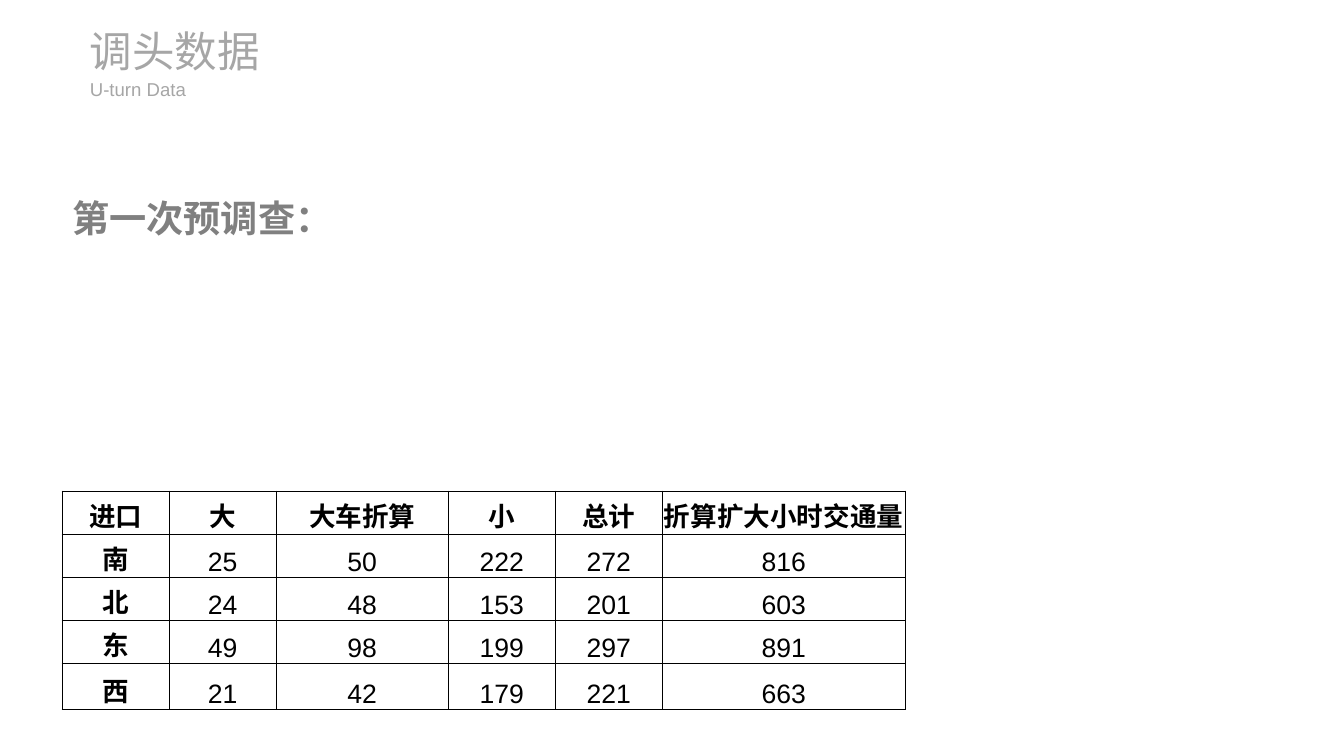
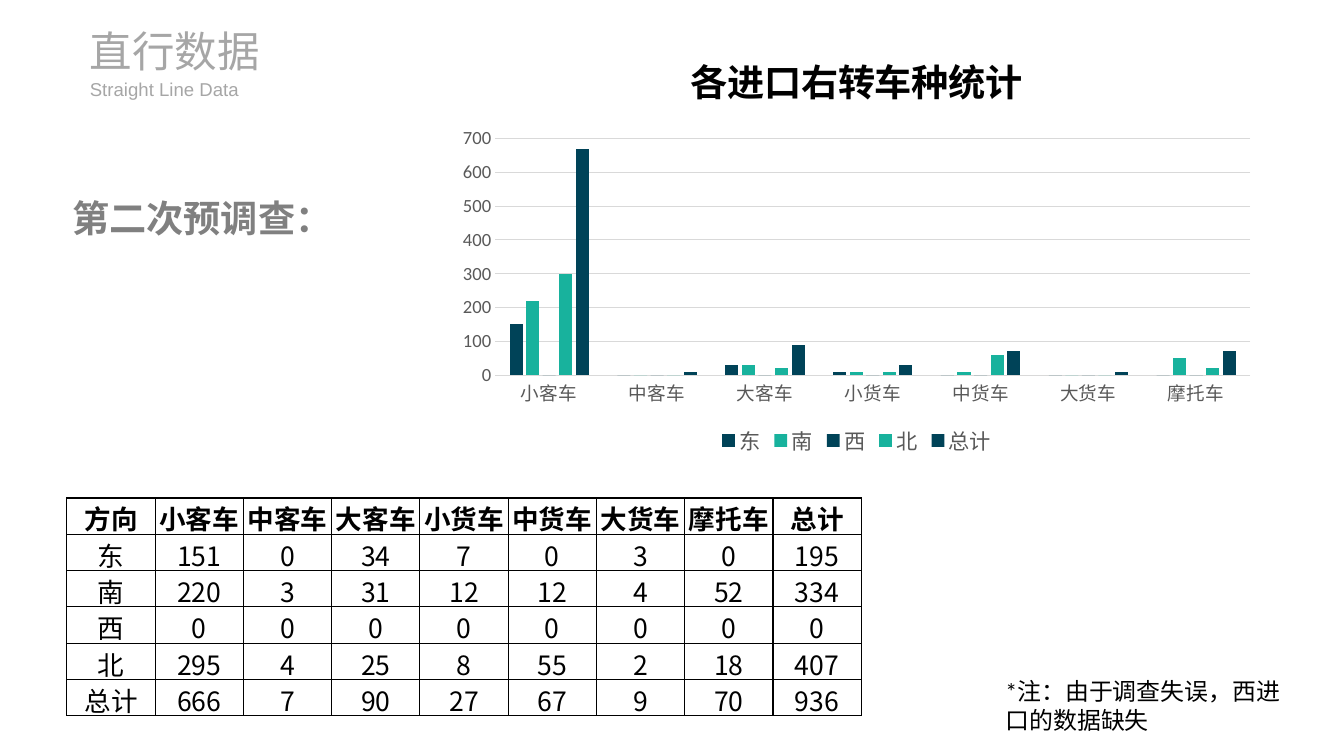
from lxml import etree
from pptx import Presentation
from pptx.chart.data import CategoryChartData
from pptx.dml.color import RGBColor
from pptx.enum import chart as ch, text as tx
from pptx.oxml import ns
from pptx.util import Inches, Pt

BLACK = RGBColor(0x00, 0x00, 0x00)
TITLE_GREY = RGBColor(0xA6, 0xA6, 0xA6)
HEADING_GREY = RGBColor(0x80, 0x80, 0x80)
LABEL_GREY = RGBColor(0x59, 0x59, 0x59)
GRID_GREY = RGBColor(0xD9, 0xD9, 0xD9)
NAVY = RGBColor(0x00, 0x43, 0x58)
TEAL = RGBColor(0x18, 0xB2, 0x9D)

LATIN, CHART_FONT, CJK = "Arial", "Calibri", "Noto Sans CJK SC"

UTURN_COUNTS = [
    ["进口", "大", "大车折算", "小", "总计", "折算扩大小时交通量"],
    ["南", 25, 50, 222, 272, 816],
    ["北", 24, 48, 153, 201, 603],
    ["东", 49, 98, 199, 297, 891],
    ["西", 21, 42, 179, 221, 663],
]
STRAIGHT_COUNTS = [
    ["方向", "小客车", "中客车", "大客车", "小货车", "中货车", "大货车", "摩托车", "总计"],
    ["东", 151, 0, 34, 7, 0, 3, 0, 195],
    ["南", 220, 3, 31, 12, 12, 4, 52, 334],
    ["西", 0, 0, 0, 0, 0, 0, 0, 0],
    ["北", 295, 4, 25, 8, 55, 2, 18, 407],
    ["总计", 666, 7, 90, 27, 67, 9, 70, 936],
]


def set_font(font, size, color, name, bold=False):
    font.size, font.bold, font.name = Pt(size), bold, name
    font.color.rgb = color


def style_paragraph(paragraph, size, color, name, bold=False):
    """Set the Latin font and the shared East Asian font of a paragraph."""
    set_font(paragraph.font, size, color, name, bold)
    defaults = paragraph._p.pPr.find(ns.qn("a:defRPr"))
    etree.SubElement(defaults, ns.qn("a:ea")).set("typeface", CJK)


def add_label(slide, box, words, size, color, name=LATIN, bold=False, flush=False):
    """Add wrapped text; flush text has no insets and is centred vertically."""
    frame = slide.shapes.add_textbox(*map(Inches, box)).text_frame
    frame.word_wrap = True
    frame.auto_size = tx.MSO_AUTO_SIZE.SHAPE_TO_FIT_TEXT
    if flush:
        frame.margin_left = frame.margin_right = 0
        frame.margin_top = frame.margin_bottom = 0
        frame.vertical_anchor = tx.MSO_ANCHOR.MIDDLE
    frame.text = words
    style_paragraph(frame.paragraphs[0], size, color, name, bold)


def add_survey_slide(deck, title, subtitle, heading):
    slide = deck.slides.add_slide(deck.slide_layouts[6])
    add_label(slide, (0.94, 0.26, 4.32, 0.54), title, 32, TITLE_GREY, flush=True)
    add_label(slide, (0.94, 0.81, 3.07, 0.24), subtitle, 14, TITLE_GREY, flush=True)
    add_label(slide, (0.66, 1.99, 3.54, 0.57), heading, 28, HEADING_GREY, bold=True)
    return slide


def add_borders(cell):
    properties = cell._tc.get_or_add_tcPr()
    for position, side in enumerate(("lnL", "lnR", "lnT", "lnB")):
        line = etree.Element(ns.qn(f"a:{side}"), w=str(Pt(1)))
        fill = etree.SubElement(line, ns.qn("a:solidFill"))
        etree.SubElement(fill, ns.qn("a:srgbClr"), val=str(BLACK))
        properties.insert(position, line)


def add_count_table(slide, left, top, widths, heights, counts, anchor,
                    label_font, number_font, bold_labels):
    """Draw a bordered grid whose first row and column hold the labels."""
    table = slide.shapes.add_table(
        len(counts), len(widths), Inches(left), Inches(top),
        Inches(sum(widths)), Inches(sum(heights))).table
    table.first_row = table.horz_banding = False
    for column, width in zip(table.columns, widths):
        column.width = Inches(width)
    for row, height in zip(table.rows, heights):
        row.height = Inches(height)
    for r, record in enumerate(counts):
        for c, value in enumerate(record):
            cell = table.cell(r, c)
            cell.text = str(value)
            cell.fill.background()
            add_borders(cell)
            cell.vertical_anchor = anchor
            cell.margin_left = cell.margin_right = cell.margin_top = Inches(0.01)
            cell.margin_bottom = 0
            paragraph = cell.text_frame.paragraphs[0]
            paragraph.alignment = tx.PP_ALIGN.CENTER
            is_label = r == 0 or c == 0
            style_paragraph(paragraph, 20, BLACK,
                            label_font if is_label else number_font,
                            r == 0 or (c == 0 and bold_labels))


def add_vehicle_chart(slide, box, title, counts):
    """Chart vehicle types by direction to the nearest ten, without row totals."""
    data = CategoryChartData()
    data.categories = counts[0][1:-1]
    for direction, *values, _ in counts[1:]:
        data.add_series(direction, [round(value, -1) for value in values])
    chart = slide.shapes.add_chart(
        ch.XL_CHART_TYPE.COLUMN_CLUSTERED, *map(Inches, box), data).chart
    set_font(chart.font, 10, BLACK, CHART_FONT)

    chart.has_title = True
    chart.chart_title.include_in_layout = False
    chart.chart_title.text_frame.text = title
    style_paragraph(chart.chart_title.text_frame.paragraphs[0],
                    28, BLACK, CHART_FONT, True)

    chart.has_legend = True
    chart.legend.position = ch.XL_LEGEND_POSITION.BOTTOM
    chart.legend.include_in_layout = False
    set_font(chart.legend.font, 16, LABEL_GREY, CHART_FONT)

    for axis in (chart.category_axis, chart.value_axis):
        axis.major_tick_mark = axis.minor_tick_mark = ch.XL_TICK_MARK.NONE
        set_font(axis.tick_labels.font, 14, LABEL_GREY, CHART_FONT)
    chart.value_axis.maximum_scale = 700
    chart.value_axis.major_unit = 100
    chart.value_axis.format.line.fill.background()
    for line in (chart.category_axis.format.line,
                 chart.value_axis.major_gridlines.format.line):
        line.color.rgb = GRID_GREY
        line.width = Pt(0.75)

    plot = chart.plots[0]
    plot.vary_by_categories = False
    plot.gap_width, plot.overlap = 219, -27
    for index, series in enumerate(plot.series):
        series.format.fill.solid()
        series.format.fill.fore_color.rgb = (NAVY, TEAL)[index % 2]


def build_uturn_slide(deck):
    slide = add_survey_slide(deck, "调头数据", "U-turn Data", "第一次预调查：")
    add_count_table(slide, 0.65, 5.14, [1.12, 1.12, 1.8, 1.12, 1.12, 2.54],
                    [0.45] * 4 + [0.48], UTURN_COUNTS, tx.MSO_ANCHOR.BOTTOM,
                    CHART_FONT, LATIN, bold_labels=True)


def build_straight_slide(deck):
    slide = add_survey_slide(deck, "直行数据", "Straight Line Data", "第二次预调查：")
    add_vehicle_chart(slide, (4.67, 0.3, 8.58, 4.51), "各进口右转车种统计", STRAIGHT_COUNTS)
    add_count_table(slide, 0.7, 5.21, [8.31 / 9] * 9, [2.28 / 6] * 6, STRAIGHT_COUNTS,
                    tx.MSO_ANCHOR.MIDDLE, CJK, CJK, bold_labels=False)
    add_label(slide, (10.42, 7.03, 3.15, 0.71), "*注：由于调查失误，西进口的数据缺失",
              18, BLACK, CHART_FONT)


def main():
    deck = Presentation()
    deck.slide_width, deck.slide_height = Inches(14.06), Inches(7.91)
    build_uturn_slide(deck)
    build_straight_slide(deck)
    deck.save("out.pptx")


if __name__ == "__main__":
    main()
